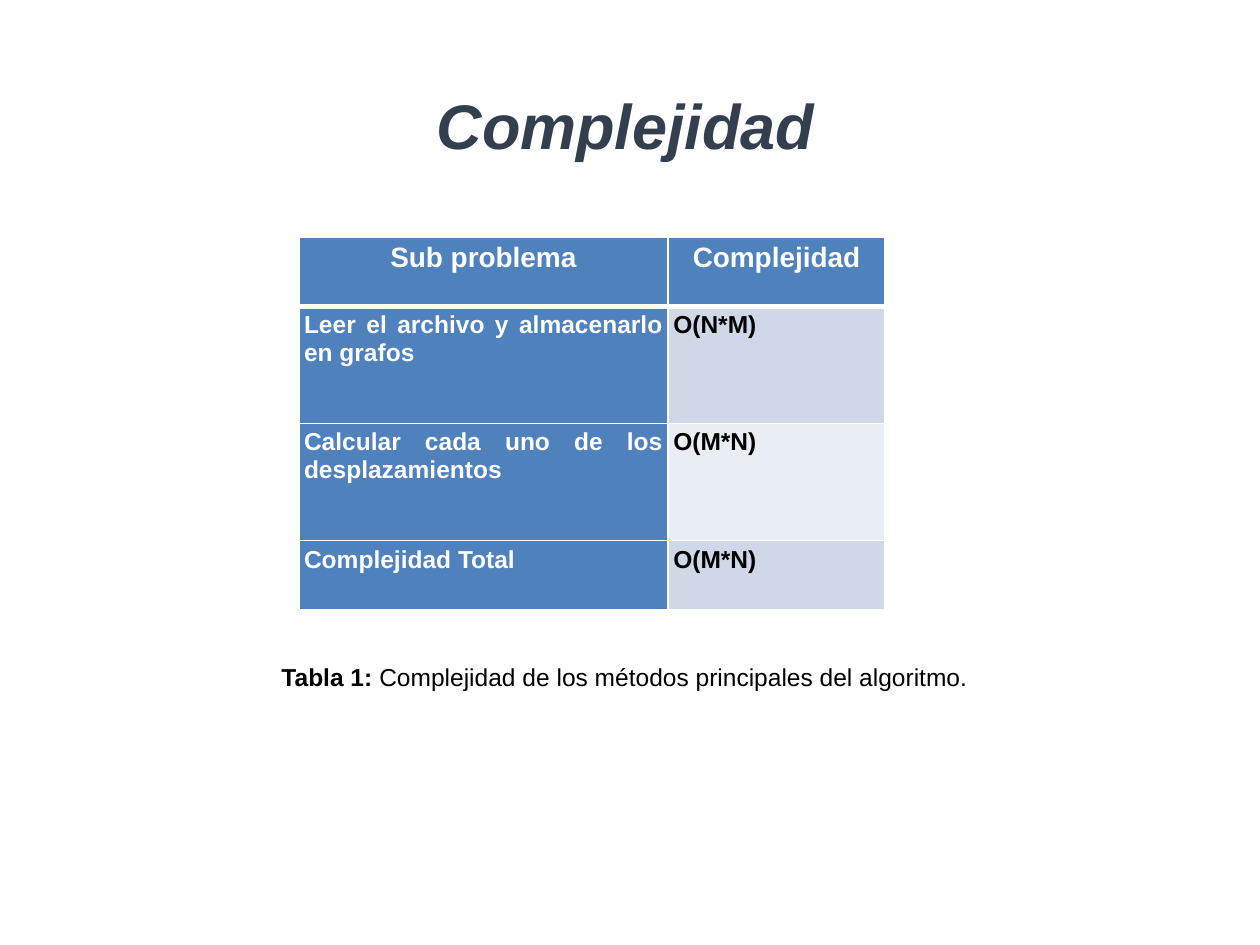
"""Build the slide on the complexity of the main methods."""
from lxml.etree import SubElement as Sub
from pptx import Presentation
from pptx.dml.color import RGBColor
from pptx.enum.text import PP_ALIGN as Align
from pptx.oxml.ns import qn
from pptx.util import Pt

TITLE = "Complejidad"
LABEL, NOTE = "Tabla 1: ", "Complejidad de los métodos principales del algoritmo."
ROWS = [
    ("Sub problema", "Complejidad"),
    ("Leer el archivo y almacenarlo en grafos", "O(N*M)"),
    ("Calcular cada uno de los desplazamientos", "O(M*N)"),
    ("Complejidad Total", "O(M*N)"),
]
WIDTHS = (211, 124)
HEIGHTS = (39.5, 67, 67, 39.5)
BLUE, BANDS = "4F81BD", ("E9EDF4", "D0D8E8")
WHITE, BLACK, SLATE = "FFFFFF", "000000", "333F4F"


def tint(text):
    return RGBColor.from_string(text)


def style(font, size, color, bold=None, italic=None):
    font.name, font.size = "Arial", Pt(size)
    font.bold, font.italic = bold, italic
    font.color.rgb = tint(color)


def add_box(slide, left, top, width, height):
    box = slide.shapes.add_textbox(Pt(left), Pt(top), Pt(width), Pt(height))
    box.text_frame.word_wrap = True
    par = box.text_frame.paragraphs[0]
    par.alignment = Align.CENTER
    return par


def add_edges(cell, base):
    props = cell._tc.get_or_add_tcPr()
    for i, side in enumerate("LRTB"):
        width = base if side == "B" else 1
        line = Sub(props, qn(f"a:ln{side}"), w=str(Pt(width)))
        Sub(Sub(line, qn("a:solidFill")), qn("a:srgbClr"), val=WHITE)
        props.insert(i, line)


def fill_cell(cell, text, row, col):
    head = row == 0
    blue = head or col == 0
    cell.fill.solid()
    cell.fill.fore_color.rgb = tint(BLUE if blue else BANDS[row % 2])
    cell.margin_left = cell.margin_right = Pt(3)
    cell.margin_top = cell.margin_bottom = Pt(3)
    cell.text = text
    par = cell.text_frame.paragraphs[0]
    par.alignment = Align.CENTER if head else Align.JUSTIFY
    par.space_after = Pt(6)
    style(par.font, 16 if head else 14, WHITE if blue else BLACK, True)
    add_edges(cell, 3 if head else 1)


def add_grid(slide, left, top):
    grid = slide.shapes.add_table(
        len(ROWS), len(WIDTHS), Pt(left), Pt(top), Pt(sum(WIDTHS)), Pt(sum(HEIGHTS))
    ).table
    for col, width in zip(grid.columns, WIDTHS):
        col.width = Pt(width)
    for row, height in zip(grid.rows, HEIGHTS):
        row.height = Pt(height)
    for r, texts in enumerate(ROWS):
        for c, text in enumerate(texts):
            fill_cell(grid.cell(r, c), text, r, c)


def main():
    deck = Presentation()
    deck.slide_width, deck.slide_height = Pt(720), Pt(540)
    slide = deck.slides.add_slide(deck.slide_layouts[6])

    note = add_box(slide, 97, 374.5, 520, 39)
    style(note.font, 14, BLACK)
    label = note.add_run()
    label.text, label.font.bold = LABEL, True
    note.add_run().text = NOTE

    add_grid(slide, 170.75, 135.5)

    title = add_box(slide, 199.5, 46, 316, 51)
    title.text = TITLE
    style(title.font, 36, SLATE, True, True)
    deck.save("out.pptx")


if __name__ == "__main__":
    main()
